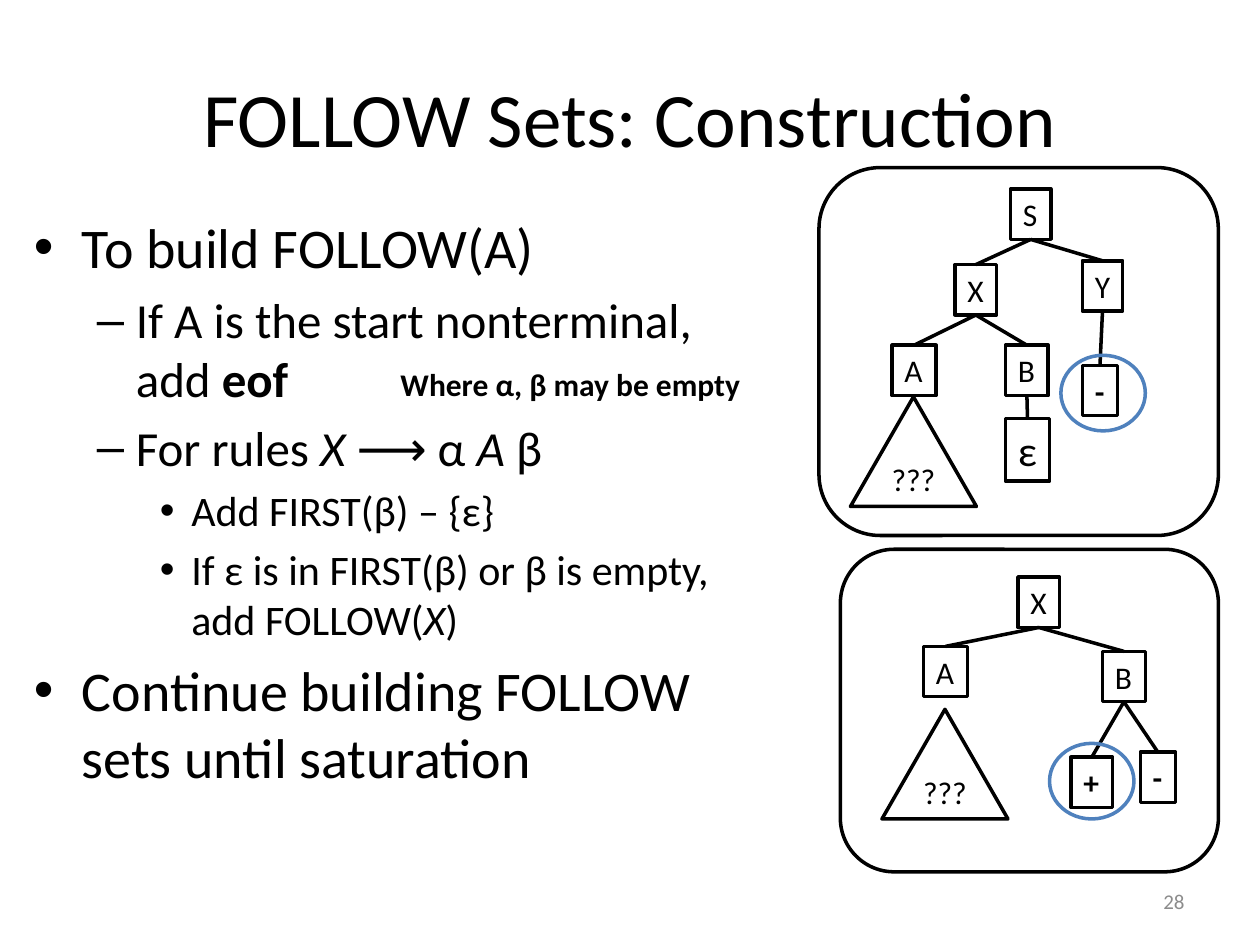
import pptx
import pptx.dml.color
import pptx.enum.shapes
import pptx.enum.text
import pptx.oxml
import pptx.oxml.ns
import pptx.util
from pptx.enum.shapes import MSO_SHAPE
from pptx.enum.text import MSO_ANCHOR, MSO_AUTO_SIZE, PP_ALIGN
from pptx.util import Inches, Pt

BLACK = pptx.dml.color.RGBColor(0x00, 0x00, 0x00)
WHITE = pptx.dml.color.RGBColor(0xFF, 0xFF, 0xFF)
GRAY = pptx.dml.color.RGBColor(0x8C, 0x8C, 0x8C)
BLUE = pptx.dml.color.RGBColor(0x4F, 0x81, 0xBD)
FONT = "Calibri"

# level: (font size in points, indent, hanging indent, bullet)
LEVELS = [(32, 0.38, 0.38, "•"), (28, 0.81, 0.31, "–"), (24, 1.25, 0.25, "•")]

# (level, [(text, style)])
BULLETS = [
    (0, [("To build FOLLOW(A)", "")]),
    (1, [("If A is the start nonterminal, add ", ""), ("eof", "b")]),
    (1, [("For rules ", ""), ("X", "i"), (" ⟶ α ", ""), ("A ", "i"), ("β", "")]),
    (2, [("Add FIRST(β) – {ε}", "")]),
    (2, [("If ε is in FIRST(β) or β is empty, add FOLLOW(", ""), ("X", "i"), (")", "")]),
    (0, [("Continue building FOLLOW sets until saturation", "")]),
]

# Tree places are relative to the panel. nodes: label -> (left, top, width)
START_TREE = {
    "nodes": {
        "S": (1.52, 0.17, 0.32), "X": (1.08, 0.77, 0.33), "Y": (2.09, 0.74, 0.32),
        "-": (2.09, 1.57, 0.28), "A": (0.58, 1.41, 0.35), "B": (1.48, 1.41, 0.34),
        "ε": (1.48, 1.99, 0.35),
    },
    "edges": ["SX", "SY", "Y-", "XA", "XB", "Bε"],
    "subtree": (0.25, 1.82),
    "highlight": (1.92, 1.49),
}
RULE_TREE = {
    "nodes": {
        "X": (1.41, 0.22, 0.33), "A": (0.66, 0.77, 0.35), "B": (2.08, 0.81, 0.34),
        "+": (1.83, 1.65, 0.33), "-": (2.38, 1.61, 0.28),
    },
    "edges": ["XA", "XB", "B+", "B-"],
    "subtree": (0.33, 1.27),
    "highlight": (1.66, 1.54),
}


def style_run(run, size, color=BLACK, bold=False, italic=False):
    run.font.name = FONT
    run.font.size = Pt(size)
    run.font.color.rgb = color
    run.font.bold = bold
    run.font.italic = italic


def put_text(shape, text, size, align=PP_ALIGN.LEFT, anchor=MSO_ANCHOR.TOP,
             wrap=True, color=BLACK, bold=False):
    frame = shape.text_frame
    frame.text = text
    frame.word_wrap = wrap
    frame.auto_size = MSO_AUTO_SIZE.NONE if wrap else MSO_AUTO_SIZE.SHAPE_TO_FIT_TEXT
    frame.vertical_anchor = anchor
    frame.paragraphs[0].alignment = align
    style_run(frame.paragraphs[0].runs[0], size, color, bold)


def add_label(slide, box, text, size, **options):
    label = slide.shapes.add_textbox(*map(Inches, box))
    put_text(label, text, size, **options)


def add_outlined(shapes, preset, box, line=BLACK, fill=WHITE):
    outlined = shapes.add_shape(preset, *map(Inches, box))
    outlined.shadow.inherit = False
    if fill is None:
        outlined.fill.background()
    else:
        outlined.fill.solid()
        outlined.fill.fore_color.rgb = fill
    outlined.line.color.rgb = line
    outlined.line.width = Pt(2)
    return outlined


def add_edge(shapes, parent, child):
    """Join the bottom centre of the parent to the top centre of the child."""
    edge = shapes.add_connector(
        pptx.enum.shapes.MSO_CONNECTOR.STRAIGHT,
        parent.left + parent.width // 2, parent.top + parent.height,
        child.left + child.width // 2, child.top)
    edge.line.color.rgb = BLACK
    edge.line.width = Pt(2)
    properties = edge.element.find(pptx.oxml.ns.qn("p:spPr"))
    properties.append(pptx.oxml.parse_xml(
        "<a:effectLst %s/>" % pptx.oxml.ns.nsdecls("a")))


def add_bullets(slide, box):
    frame = slide.shapes.add_textbox(*map(Inches, box)).text_frame
    frame.word_wrap = True
    for index, (level, pieces) in enumerate(BULLETS):
        size, indent, hanging, bullet = LEVELS[level]
        paragraph = frame.paragraphs[0] if index == 0 else frame.add_paragraph()
        paragraph.level = level
        paragraph.space_before = Pt(size * 0.2)
        properties = paragraph._p.get_or_add_pPr()
        properties.set("marL", str(Inches(indent)))
        properties.set("indent", str(-Inches(hanging)))
        for tag in ('buFont %s typeface="Arial"', f'buChar %s char="{bullet}"'):
            properties.append(pptx.oxml.parse_xml(
                f"<a:{tag}/>" % pptx.oxml.ns.nsdecls("a")))
        for text, style in pieces:
            run = paragraph.add_run()
            run.text = text
            style_run(run, size, bold=style == "b", italic=style == "i")


def add_tree_panel(slide, box, tree):
    left, top = box[:2]
    add_outlined(slide.shapes, MSO_SHAPE.ROUNDED_RECTANGLE, box)
    shapes = slide.shapes.add_group_shape().shapes

    nodes = {}
    for label, (x, y, width) in tree["nodes"].items():
        size, height = (24, 0.5) if label == "ε" else (18, 0.4)
        node = add_outlined(shapes, MSO_SHAPE.RECTANGLE, (left + x, top + y, width, height))
        put_text(node, label, size, wrap=False, bold=label in "+-")
        nodes[label] = node
    for parent, child in tree["edges"]:
        add_edge(shapes, nodes[parent], nodes[child])

    x, y = tree["subtree"]
    subtree = add_outlined(shapes, MSO_SHAPE.ISOSCELES_TRIANGLE, (left + x, top + y, 1, 0.87))
    put_text(subtree, "???", 18, align=PP_ALIGN.CENTER, anchor=MSO_ANCHOR.MIDDLE)
    frame = subtree.text_frame
    frame.margin_left = frame.margin_right = Inches(0.05)
    frame.margin_top = frame.margin_bottom = Inches(0.05)

    x, y = tree["highlight"]
    add_outlined(shapes, MSO_SHAPE.OVAL, (left + x, top + y, 0.67, 0.6), BLUE, None)


def main():
    deck = pptx.Presentation()
    deck.slide_width, deck.slide_height = Inches(10), Inches(7.5)
    slide = deck.slides.add_slide(deck.slide_layouts[6])
    add_label(slide, (0.5, 0.3, 9, 1.25), "FOLLOW Sets: Construction", 44,
              align=PP_ALIGN.CENTER, anchor=MSO_ANCHOR.MIDDLE)
    add_bullets(slide, (0.17, 1.64, 5.99, 5.27))
    add_label(slide, (7.17, 6.95, 2.33, 0.4), "28", 12,
              align=PP_ALIGN.RIGHT, anchor=MSO_ANCHOR.MIDDLE, color=GRAY)
    add_tree_panel(slide, (6.5, 1.33, 3.17, 2.92), START_TREE)
    add_tree_panel(slide, (6.67, 4.36, 3, 2.56), RULE_TREE)
    add_label(slide, (3.08, 2.85, 2.98, 0.4), "Where α, β may be empty", 18,
              wrap=False, bold=True)
    deck.save("out.pptx")


if __name__ == "__main__":
    main()
